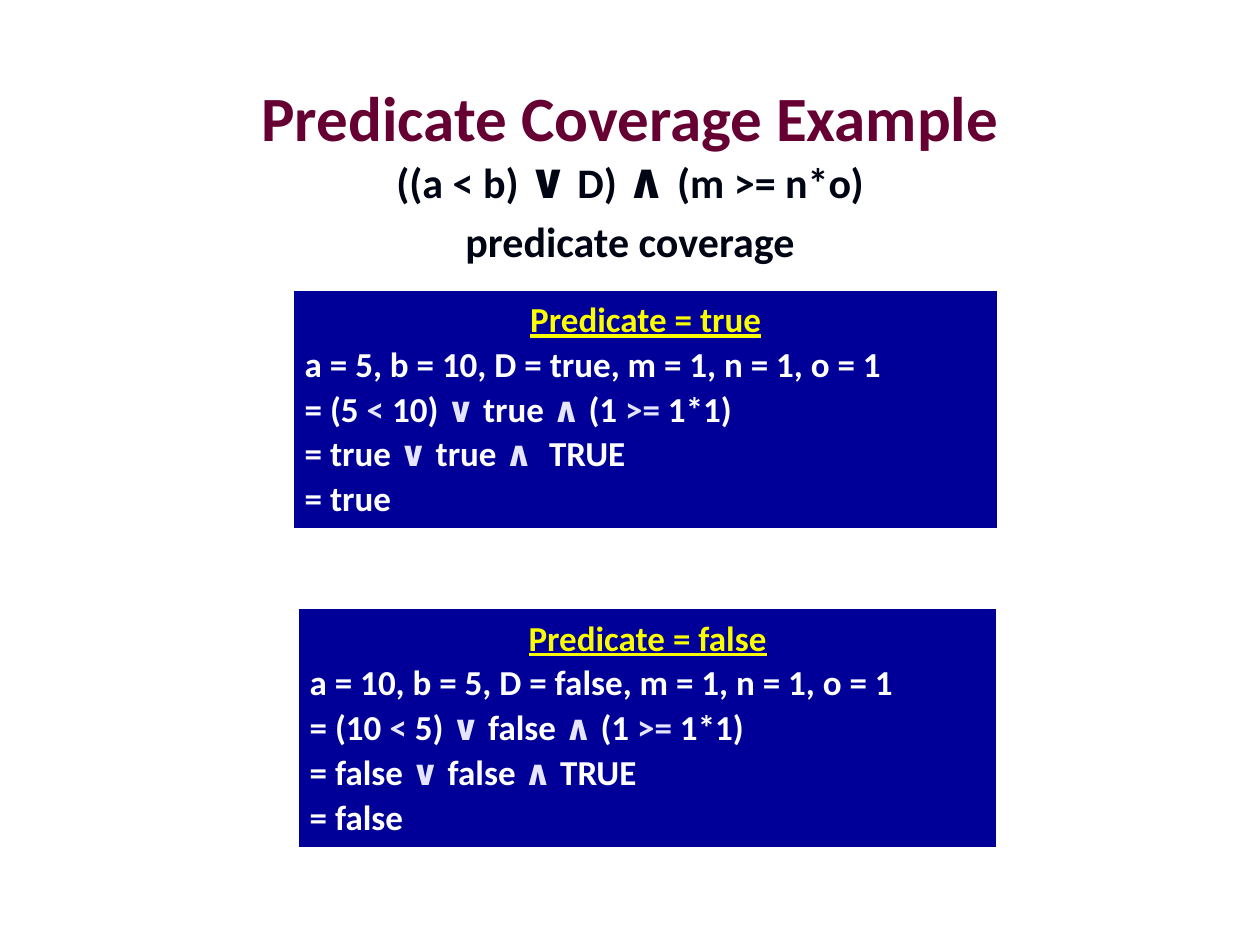
from pptx import Presentation
from pptx.dml.color import RGBColor
from pptx.enum.shapes import MSO_SHAPE
from pptx.enum.text import MSO_ANCHOR, PP_ALIGN
from pptx.util import Inches, Pt

RECT = MSO_SHAPE.RECTANGLE
TOP, MIDDLE = MSO_ANCHOR.TOP, MSO_ANCHOR.MIDDLE
LEFT, CENTER = PP_ALIGN.LEFT, PP_ALIGN.CENTER

MAROON = RGBColor(0x66, 0x00, 0x33)
INK = RGBColor(0x00, 0x05, 0x14)
NAVY = RGBColor(0x00, 0x00, 0x99)
YELLOW = RGBColor(0xFA, 0xFD, 0x00)
WHITE = RGBColor(0xFF, 0xFF, 0xFF)
LILAC = RGBColor(0xE5, 0xE5, 0xFF)


def fill_line(p, text, align, size, color, op_size=None, op_color=None):
    """Write one line; every second piece between bars is an operator."""
    p.alignment = align
    for i, piece in enumerate(text.split("|")):
        r = p.add_run()
        r.text = piece
        is_op = i % 2 == 1
        r.font.name = "Calibri"
        r.font.bold = True
        r.font.size = Pt(op_size if is_op and op_size else size)
        r.font.color.rgb = op_color if is_op and op_color else color


def add_text_box(s, box, anchor):
    tf = s.shapes.add_textbox(*map(Inches, box)).text_frame
    tf.word_wrap = True
    tf.vertical_anchor = anchor
    return tf


def add_title(s, box, text):
    tf = add_text_box(s, box, MIDDLE)
    fill_line(tf.paragraphs[0], text, CENTER, 36, MAROON)


def add_expression(s, box, lines):
    tf = add_text_box(s, box, TOP)
    for i, line in enumerate(lines):
        p = tf.add_paragraph() if i else tf.paragraphs[0]
        p.line_spacing = 0.9
        if i:
            p.space_before = Pt(7)
        fill_line(p, line, CENTER, 24, INK, op_size=28)


def add_case(s, box, result, values, comparison, gap=""):
    """Panel that evaluates the predicate step by step."""
    sp = s.shapes.add_shape(RECT, *map(Inches, box))
    sp.shadow.inherit = False
    sp.fill.solid()
    sp.fill.fore_color.rgb = NAVY
    sp.line.color.rgb = WHITE
    sp.line.width = Pt(2.25)

    tf = sp.text_frame
    tf.word_wrap = True
    tf.vertical_anchor = TOP
    tf.margin_top = Inches(0.07)

    # Heading
    p = tf.paragraphs[0]
    fill_line(p, f"Predicate = {result}", CENTER, 20, YELLOW)
    p.runs[0].font.underline = True

    # Evaluation steps
    steps = [
        f"{values}, D = {result}, m = 1, n = 1, o = 1",
        f"= ({comparison}) |∨ |{result} |∧ |(1 |>=| 1*1)",
        f"= {result} |∨ |{result} |∧ {gap}|TRUE",
        f"= {result}",
    ]
    for step in steps:
        p = tf.add_paragraph()
        p.space_before = Pt(1.6)
        fill_line(p, step, LEFT, 20, WHITE, op_color=LILAC)


def main():
    prs = Presentation()
    prs.slide_width, prs.slide_height = Inches(10), Inches(7.5)
    s = prs.slides.add_slide(prs.slide_layouts[6])

    add_title(s, (0.5, 0.3, 9, 1.25), "Predicate Coverage Example")
    add_expression(s, (0.15, 1.19, 9.7, 0.99),
                   ["((a < b) |∨| D) |∧ |(m >= n*o)", "predicate coverage"])
    add_case(s, (2.32, 2.29, 5.61, 1.92), "true",
             "a = 5, b = 10", "5 |<| 10", gap=" ")
    add_case(s, (2.36, 4.82, 5.56, 1.92), "false",
             "a = 10, b = 5", "10 |<| 5")

    prs.save("out.pptx")


if __name__ == "__main__":
    main()
